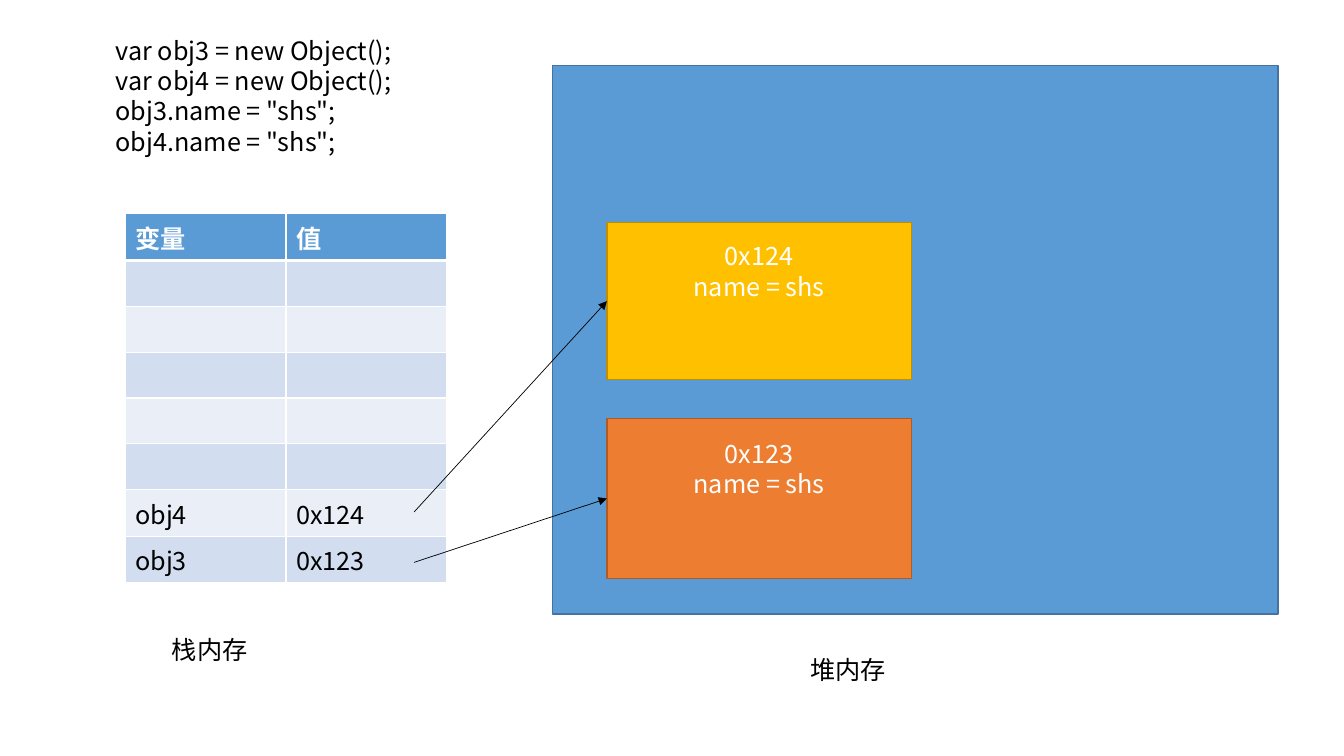
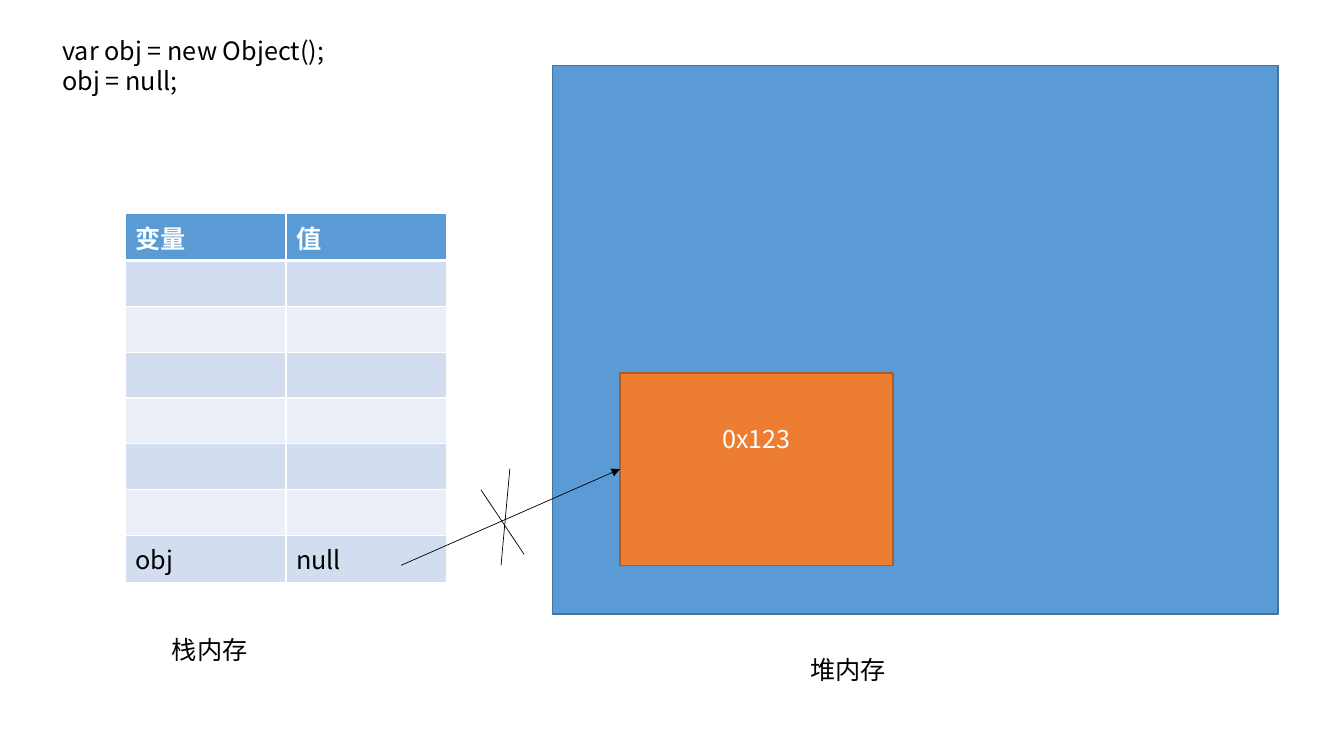
from lxml import etree
from pptx import Presentation
from pptx.dml.color import RGBColor
from pptx.enum.shapes import MSO_CONNECTOR, MSO_SHAPE
from pptx.enum.text import MSO_ANCHOR, PP_ALIGN
from pptx.oxml.ns import qn
from pptx.util import Inches, Pt

RECTANGLE = MSO_SHAPE.RECTANGLE
STRAIGHT = MSO_CONNECTOR.STRAIGHT
MIDDLE = MSO_ANCHOR.MIDDLE
LEFT, CENTER = PP_ALIGN.LEFT, PP_ALIGN.CENTER
LEFT_SITE = 1
COLUMNS, ROWS = 32, 18
BLANK_LAYOUT = 6

COLORS = {
    "white": "FFFFFF",
    "black": "000000",
    "blue": "5B9BD5",
    "blue line": "43739E",
    "orange": "ED7D31",
    "orange line": "AF5C24",
    "yellow": "FFC000",
    "yellow line": "BD8E00",
    "dark band": "D2DEEF",
    "light band": "EAEFF7",
}


def color(name):
    return RGBColor.from_string(COLORS[name])


class MemoryDiagram:
    font_name = "Noto Sans CJK SC"
    font_size = Pt(18)

    def __init__(self, presentation):
        self.presentation = presentation
        self.slide = None

    def x(self, columns):
        return round(self.presentation.slide_width * columns / COLUMNS)

    def y(self, rows):
        return round(self.presentation.slide_height * rows / ROWS)

    def area(self, left, top, width, height):
        return self.x(left), self.y(top), self.x(width), self.y(height)

    def set_text(self, text_frame, text, color_name, alignment=LEFT, bold=False):
        text_frame.text = text
        for paragraph in text_frame.paragraphs:
            paragraph.alignment = alignment
            font = paragraph.font
            font.name, font.size, font.bold = self.font_name, self.font_size, bold
            font.color.rgb = color(color_name)
            properties = paragraph._p.pPr.find(qn("a:defRPr"))
            etree.SubElement(properties, qn("a:ea"), typeface=self.font_name)

    def text(self, text, *area):
        text_frame = self.slide.shapes.add_textbox(*self.area(*area)).text_frame
        text_frame.word_wrap = True
        self.set_text(text_frame, text, "black")

    def rectangle(self, color_name, *area):
        shape = self.slide.shapes.add_shape(RECTANGLE, *self.area(*area))
        shape.shadow.inherit = False
        shape.fill.solid()
        shape.fill.fore_color.rgb = color(color_name)
        shape.line.color.rgb = color(color_name + " line")
        shape.line.width = Pt(1)
        return shape

    def heap_object(self, text, color_name, *area):
        shape = self.rectangle(color_name, *area)
        text_frame = shape.text_frame
        text_frame.word_wrap = True
        text_frame.vertical_anchor = MIDDLE
        text_frame.margin_bottom = Inches(0.65)
        self.set_text(text_frame, text, "white", CENTER)
        return shape

    def line(self, start, end):
        connector = self.slide.shapes.add_connector(
            STRAIGHT, self.x(start[0]), self.y(start[1]), self.x(end[0]), self.y(end[1])
        )
        connector.line.color.rgb = color("black")
        connector.line.width = Pt(0.5)
        etree.SubElement(connector._element.spPr, qn("a:effectLst"))
        return connector

    def arrow(self, start, target):
        connector = self.line(start, start)
        connector.end_connect(target, LEFT_SITE)
        outline = connector._element.spPr.find(qn("a:ln"))
        etree.SubElement(outline, qn("a:tailEnd"), type="triangle")

    def cell_borders(self, cell, top, bottom):
        properties = cell._tc.get_or_add_tcPr()
        for side, points in (("L", 1), ("R", 1), ("T", top), ("B", bottom)):
            border = etree.SubElement(properties, qn("a:ln" + side), w=str(Pt(points)))
            fill = etree.SubElement(border, qn("a:solidFill"))
            etree.SubElement(fill, qn("a:srgbClr"), val=COLORS["white"])

    def table(self, records, *area):
        row_count, column_count = len(records), len(records[0])
        left, top, width, height = self.area(*area)
        table = self.slide.shapes.add_table(
            row_count, column_count, left, top, width, height
        ).table
        for row_index, record in enumerate(records):
            is_header = row_index == 0
            band = "dark band" if row_index % 2 else "light band"
            for column_index, text in enumerate(record):
                cell = table.cell(row_index, column_index)
                self.cell_borders(
                    cell, 3 if row_index == 1 else 1, 3 if is_header else 1
                )
                cell.fill.solid()
                cell.fill.fore_color.rgb = color("blue" if is_header else band)
                if text:
                    self.set_text(
                        cell.text_frame, text, "white" if is_header else "black",
                        bold=is_header,
                    )

    def memory_slide(self, variables):
        layout = self.presentation.slide_layouts[BLANK_LAYOUT]
        self.slide = self.presentation.slides.add_slide(layout)
        empty_rows = [("", "")] * (7 - len(variables))
        self.table([("变量", "值")] + empty_rows + variables, 2.98, 5.09, 7.66, 8.74)
        self.text("栈内存", 3.86, 14.98, 6, 0.96)
        self.rectangle("blue", 13.15, 1.56, 17.28, 13.06)
        self.text("堆内存", 19.06, 15.46, 5.5, 0.96)


presentation = Presentation()
presentation.slide_width = Inches(13.33)
presentation.slide_height = Inches(7.5)
diagram = MemoryDiagram(presentation)

diagram.memory_slide([("obj4", "0x124"), ("obj3", "0x123")])
diagram.text(
    "var obj3 = new Object();\nvar obj4 = new Object();\n"
    'obj3.name = "shs";\nobj4.name = "shs";',
    2.52, 0.72, 7.85, 3.14,
)
for address, color_name, top, height, arrow_start in (
    ("0x123", "orange", 9.96, 3.82, 13.39),
    ("0x124", "yellow", 5.3, 3.74, 12.19),
):
    heap_object = diagram.heap_object(
        address + "\nname = shs", color_name, 14.45, top, 7.25, height
    )
    diagram.arrow((9.86, arrow_start), heap_object)

diagram.memory_slide([("obj", "null")])
diagram.text("var obj = new Object();\nobj = null;", 1.25, 0.72, 9.86, 1.7)
released_object = diagram.heap_object("0x123", "orange", 14.76, 8.88, 6.5, 4.58)
diagram.arrow((9.55, 13.46), released_object)
diagram.line((11.45, 11.66), (12.48, 13.2))
diagram.line((12.14, 11.16), (11.93, 13.46))

presentation.save("out.pptx")
